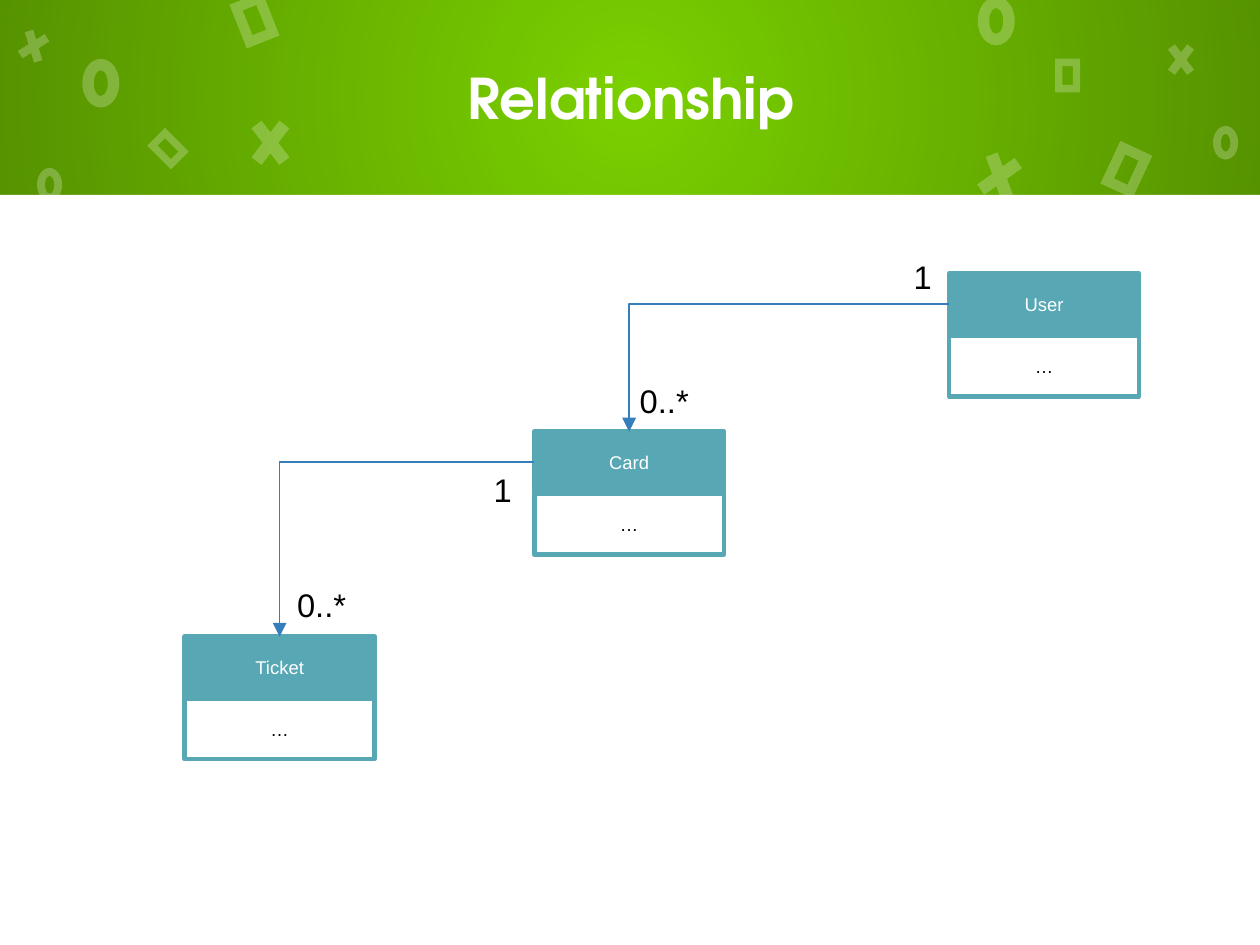
from pptx import Presentation
from pptx.dml.color import RGBColor
from pptx.enum.shapes import MSO_CONNECTOR, MSO_SHAPE
from pptx.enum.text import MSO_ANCHOR, MSO_AUTO_SIZE, PP_ALIGN
from pptx.oxml import parse_xml
from pptx.oxml.ns import qn
from pptx.util import Inches, Pt
from lxml.etree import SubElement

# Content
TITLE = "Relationship"
ENTITIES = {"User": (5.65, 1.63), "Card": (3.18, 2.57), "Ticket": (1.1, 3.79)}
RELATIONS = [("User", "Card"), ("Card", "Ticket")]
MULTIPLICITIES = [("0..*", 3.71, 2.22), ("1", 5.34, 1.48),
                  ("1", 2.84, 2.75), ("0..*", 1.67, 3.43)]

# Header ornaments: left, top, width, height, rotation
ORNAMENTS = {
    (MSO_SHAPE.DONUT, 0.31): [
        (0.49, 0.35, 0.22, 0.29, 0), (5.82, -0.02, 0.22, 0.29, 0),
        (0.22, 1, 0.15, 0.2, 0), (7.22, 0.75, 0.15, 0.2, 0)],
    (MSO_SHAPE.MATH_MULTIPLY, 0.235): [
        (1.45, 0.64, 0.32, 0.42, 0), (5.79, 0.84, 0.32, 0.42, 17.5),
        (0.09, 0.13, 0.22, 0.29, 20.4), (6.92, 0.21, 0.22, 0.29, 0)],
    (MSO_SHAPE.FRAME, 0.289): [
        (1.41, -0.02, 0.21, 0.28, 338.4), (6.6, 0.87, 0.21, 0.28, 25),
        (0.9, 0.81, 0.2, 0.15, 45), (6.28, 0.35, 0.15, 0.2, 0)],
}

# Sizes: the slide has a 4:3 format
WIDTH, HEADER = 7.5, 1.16
HEIGHT = WIDTH * 3 / 4
CELL_WIDTH, CELL_HEIGHT, CELL_STEP = 1.13, 0.36, 0.37
GREEN, TEAL, BLUE, WHITE, BLACK = "7BD100", "57A7B5", "367EB9", "FFFFFF", "000000"
TITLE_FONT = {"name": "TeX Gyre Adventor", "size": Pt(24), "bold": True}
CELL_FONT = {"name": "Arial", "size": Pt(7.9)}
LABEL_FONT = {"name": "Arial", "size": Pt(14)}
GRADIENT = """<a:gradFill xmlns:a="http://schemas.openxmlformats.org/drawingml/2006/main">
<a:gsLst>
<a:gs pos="0"><a:srgbClr val="000000"><a:alpha val="0"/></a:srgbClr></a:gs>
<a:gs pos="100000"><a:srgbClr val="000000"><a:alpha val="30000"/></a:srgbClr></a:gs>
</a:gsLst>
<a:path path="circle"><a:fillToRect l="50000" t="50000" r="50000" b="50000"/></a:path>
</a:gradFill>"""


def paint(color_format, color):
    color_format.rgb = RGBColor.from_string(color)


def add_block(shapes, kind, box, color):
    shape = shapes.add_shape(kind, *map(Inches, box))
    shape.shadow.inherit = False
    shape.fill.solid()
    paint(shape.fill.fore_color, color)
    shape.line.fill.background()
    return shape


def write(shape, text, font, color, align):
    paragraph = shape.text_frame.paragraphs[0]
    paragraph.alignment = align
    run = paragraph.add_run()
    run.text = text
    for name, value in font.items():
        setattr(run.font, name, value)
    paint(run.font.color, color)


def add_header(slide):
    band = add_block(slide.shapes, MSO_SHAPE.RECTANGLE, (0, 0, WIDTH, HEADER), GREEN)
    solid = band.element.spPr.find(qn("a:solidFill"))
    solid.getparent().replace(solid, parse_xml(GRADIENT))
    add_block(slide.shapes, MSO_SHAPE.RECTANGLE,
              (0, HEADER, WIDTH, HEIGHT - HEADER), WHITE)
    for (kind, adjustment), places in ORNAMENTS.items():
        for *box, rotation in places:
            ornament = add_block(slide.shapes, kind, box, WHITE)
            ornament.adjustments[0] = adjustment
            ornament.rotation = rotation
            color = ornament.element.spPr.find(qn("a:solidFill"))[0]
            SubElement(color, qn("a:alpha"), val="24000")


def add_title(slide):
    title = slide.shapes.title
    title.left, title.top = Inches(0.38), Inches(0)
    title.width, title.height = Inches(6.75), Inches(HEADER)
    frame = title.text_frame
    frame.auto_size = MSO_AUTO_SIZE.NONE
    frame.vertical_anchor = MSO_ANCHOR.MIDDLE
    for side in ("left", "right", "top", "bottom"):
        setattr(frame, f"margin_{side}", Inches(0.1))
    write(title, TITLE, TITLE_FONT, WHITE, PP_ALIGN.CENTER)
    # Bring the title in front of the header band
    title.element.getparent().append(title.element)


def add_entity(slide, name, left, top):
    group = slide.shapes.add_group_shape()
    rows = [(name, TEAL, WHITE), ("…", WHITE, BLACK)]
    cells = []
    for index, (text, fill, color) in enumerate(rows):
        box = (left, top + index * CELL_STEP, CELL_WIDTH, CELL_HEIGHT)
        cell = add_block(group.shapes, MSO_SHAPE.RECTANGLE, box, fill)
        paint(cell.line.color, TEAL)
        cell.line.width = Pt(2)
        cell.text_frame.vertical_anchor = MSO_ANCHOR.MIDDLE
        write(cell, text, CELL_FONT, color, PP_ALIGN.CENTER)
        cells.append(cell)
    return cells[0]


def add_relation(slide, source, target):
    connector = slide.shapes.add_connector(
        MSO_CONNECTOR.ELBOW, source.left, source.top + source.height // 2,
        target.left + target.width // 2, target.top)
    connector.begin_connect(source, 1)  # left side
    connector.end_connect(target, 0)  # top side
    paint(connector.line.color, BLUE)
    connector.line.width = Pt(0.75)
    properties = connector.element.spPr
    properties.find(qn("a:prstGeom")).set("prst", "bentConnector2")
    SubElement(properties.find(qn("a:ln")), qn("a:tailEnd"), type="triangle")
    SubElement(properties, qn("a:effectLst"))


def main():
    presentation = Presentation()
    presentation.slide_width = Inches(WIDTH)
    presentation.slide_height = Inches(HEIGHT)
    slide = presentation.slides.add_slide(presentation.slide_layouts[5])
    slide.background.fill.solid()
    paint(slide.background.fill.fore_color, GREEN)

    add_header(slide)
    add_title(slide)

    # Entities, multiplicities and the arrows between them
    headers = {name: add_entity(slide, name, *place)
               for name, place in ENTITIES.items()}
    for text, left, top in MULTIPLICITIES:
        label = slide.shapes.add_textbox(*map(Inches, (left, top, 0.6, 0.34)))
        label.text_frame.word_wrap = True
        label.text_frame.auto_size = MSO_AUTO_SIZE.SHAPE_TO_FIT_TEXT
        write(label, text, LABEL_FONT, BLACK, PP_ALIGN.LEFT)
    for source, target in RELATIONS:
        add_relation(slide, headers[source], headers[target])

    presentation.save("out.pptx")


if __name__ == "__main__":
    main()
